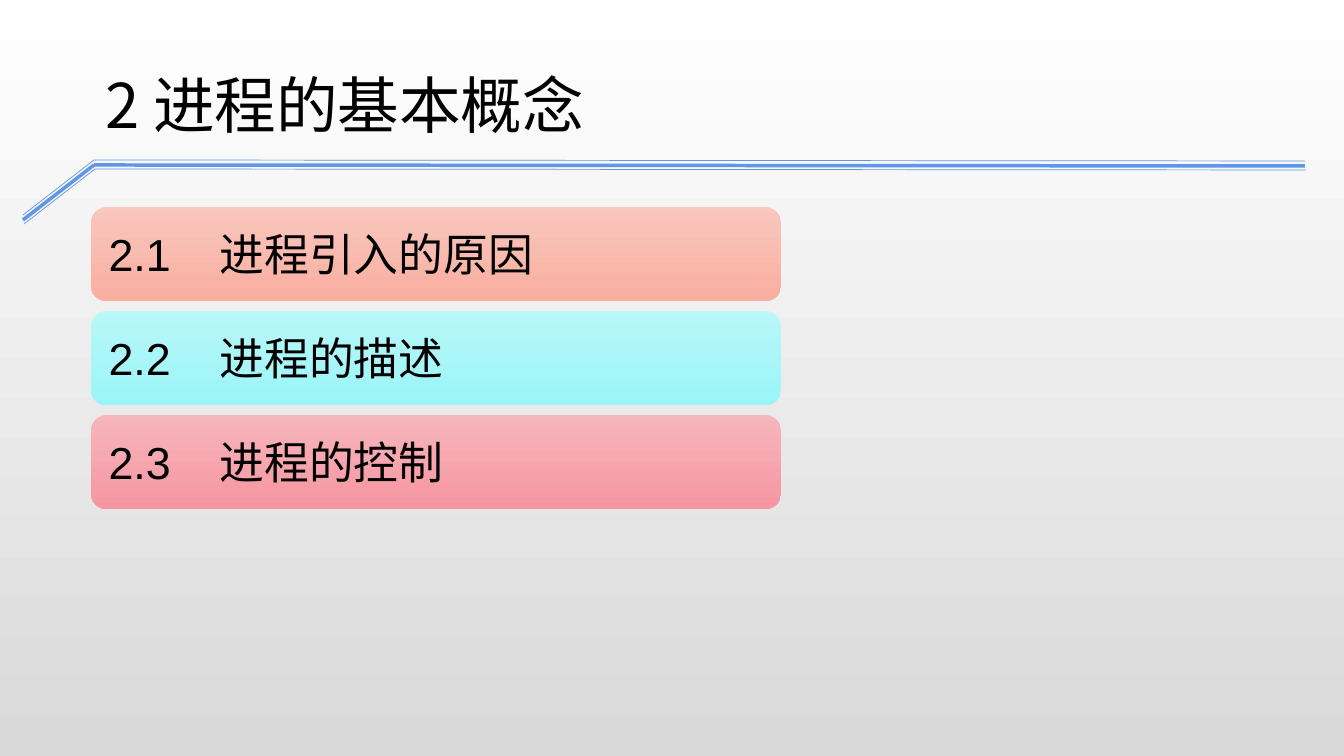
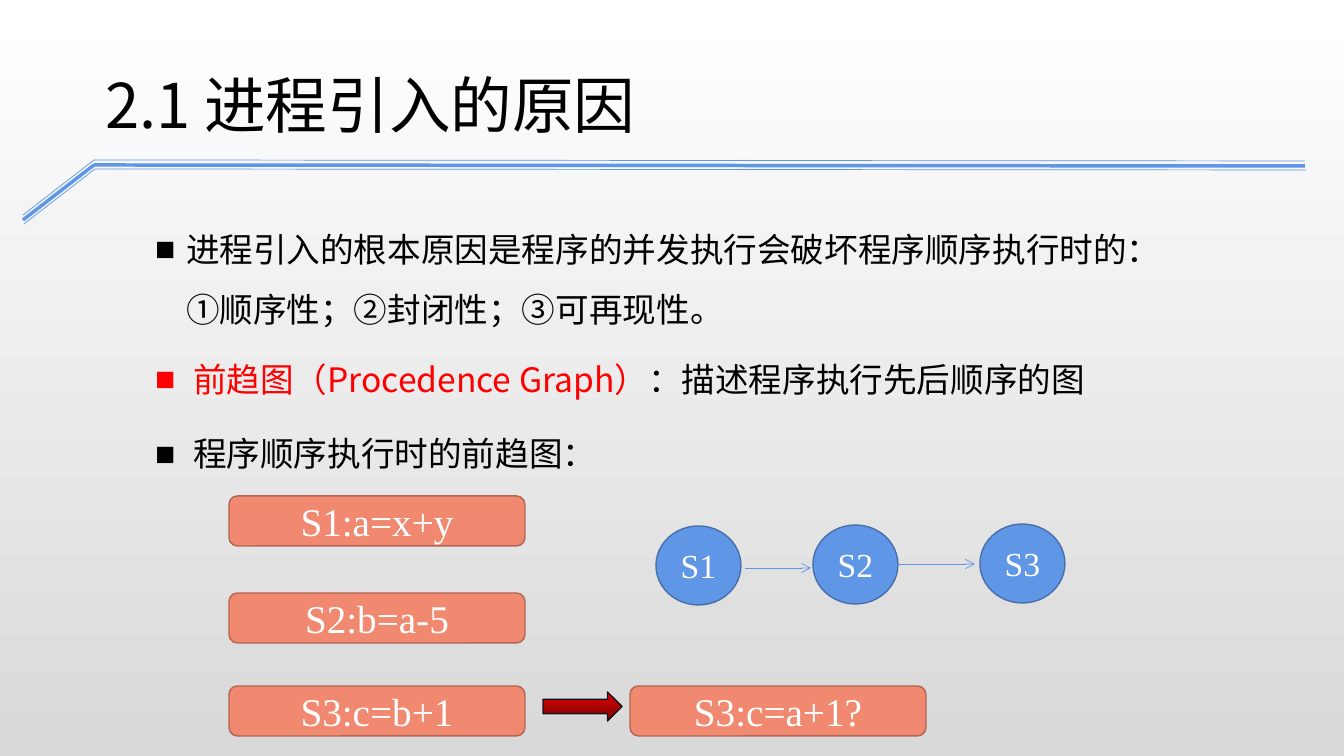
"""Build two slides on why processes were introduced."""
from dataclasses import dataclass
from itertools import pairwise

from lxml.etree import SubElement
from pptx import Presentation
from pptx.dml.color import RGBColor
from pptx.enum.shapes import MSO_CONNECTOR, MSO_SHAPE
from pptx.enum.text import MSO_ANCHOR, MSO_AUTO_SIZE, PP_ALIGN
from pptx.oxml.ns import qn
from pptx.util import Pt

SCALE = 12192000 / 1344


@dataclass(frozen=True)
class Theme:
    black: str = "000000"
    white: str = "FFFFFF"
    gray: str = "D9D9D9"
    red: str = "FF0000"
    blue: str = "6096E6"
    navy: str = "476FAA"
    coral: str = "F18870"
    rust: str = "B26553"
    ink: str = "0F1423"
    flame: tuple = ("E30000", "760303")
    peach: tuple = ("F9C7BD", "F9AEA0")
    aqua: tuple = ("B9F7F8", "9AF5F8")
    rose: tuple = ("F7B5BC", "F696A1")
    sans: str = "Noto Sans CJK JP"
    plain: str = "Arial"
    serif: str = "Times New Roman"
    title: int = 44
    topic: int = 32
    step: int = 28
    body: int = 24
    lead: int = 43


T = Theme()


def px(num):
    return round(num * SCALE)


def rgb(code):
    return RGBColor.from_string(code)


def paint(fill, color):
    if isinstance(color, str):
        fill.solid()
        fill.fore_color.rgb = rgb(color)
        return
    fill.gradient()
    fill.gradient_angle = 270
    for stop, code in zip(fill.gradient_stops, color):
        stop.color.rgb = rgb(code)


def place(shape, left, top, wide, high):
    shape.left, shape.top = px(left), px(top)
    shape.width, shape.height = px(wide), px(high)


def write(para, text, size, color, face):
    run = para.add_run()
    run.text = text
    font = run.font
    font.size, font.name = Pt(size), face
    font.color.rgb = rgb(color)
    SubElement(font._element, qn("a:ea"), typeface=T.sans)


def frame(shape, anchor, side=10, edge=0):
    box = shape.text_frame
    box.word_wrap = True
    box.auto_size = MSO_AUTO_SIZE.NONE
    box.vertical_anchor = anchor
    box.margin_left = box.margin_right = px(side)
    box.margin_top = box.margin_bottom = px(edge)
    return box


def block(slide, kind, area, fill, edge=None):
    shape = slide.shapes.add_shape(kind, *map(px, area))
    shape.shadow.inherit = False
    paint(shape.fill, fill)
    if edge:
        shape.line.color.rgb = rgb(edge)
        shape.line.width = Pt(1)
    else:
        shape.line.fill.background()
    return shape


def label(shape, text, size):
    para = frame(shape, MSO_ANCHOR.MIDDLE, 0).paragraphs[0]
    para.alignment = PP_ALIGN.CENTER
    write(para, text, size, T.white, T.serif)


def link(slide, start, end, width=0.5, head=False):
    line = slide.shapes.add_connector(
        MSO_CONNECTOR.STRAIGHT, *map(px, (*start, *end)))
    line.line.color.rgb = rgb(T.blue)
    line.line.width = Pt(width)
    if head:
        SubElement(line.line._get_or_add_ln(), qn("a:tailEnd"), type="arrow")
    SubElement(line._element.spPr, qn("a:effectLst"))


def rails(slide):
    bend = (23, 215), (94, 160), (1305, 161)
    for right, down, width in (0, 0, 0.5), (0, 5, 2.5), (1, 9, 0.5):
        dots = [(x + right, y + down) for x, y in bend]
        for start, end in pairwise(dots):
            link(slide, start, end, width)


def page(deck, layout, text):
    slide = deck.slides.add_slide(deck.slide_layouts[layout])
    rails(slide)
    title = slide.shapes.title
    place(title, 95, 56, 960, 96)
    para = frame(title, MSO_ANCHOR.MIDDLE).paragraphs[0]
    para.alignment = PP_ALIGN.LEFT
    write(para, text, T.title, T.black, T.sans)
    return slide


def topic(slide, top, mark, text, fill):
    shape = block(slide, MSO_SHAPE.ROUNDED_RECTANGLE, (91, top, 690, 94), fill)
    para = frame(shape, MSO_ANCHOR.MIDDLE, 13, 13).paragraphs[0]
    para.alignment = PP_ALIGN.LEFT
    tabs = SubElement(para._p.get_or_add_pPr(), qn("a:tabLst"))
    SubElement(tabs, qn("a:tab"), pos=str(px(111)), algn="l")
    write(para, f"{mark}\t{text}", T.topic, T.black, T.plain)


def point(para, runs, dent, space, mark):
    props = para._p.get_or_add_pPr()
    props.set("marL", str(px(dent)))
    props.set("indent", str(px(-dent if mark else 0)))
    if mark:
        tint = SubElement(props, qn("a:buClr"))
        SubElement(tint, qn("a:srgbClr"), val=runs[0][1])
        SubElement(props, qn("a:buFont"), typeface=T.plain)
        SubElement(props, qn("a:buChar"), char="■")
    else:
        SubElement(props, qn("a:buNone"))
    para.alignment = PP_ALIGN.LEFT
    para.line_spacing = Pt(T.lead)
    para.space_before = Pt(space)
    for text, color in runs:
        write(para, text, T.body, color, T.sans)


def points(slide, items):
    body = slide.placeholders[1]
    place(body, 145, 204, 1154, 282)
    box = frame(body, MSO_ANCHOR.TOP, 10, 5)
    for num, item in enumerate(items):
        para = box.add_paragraph() if num else box.paragraphs[0]
        point(para, *item)


def step(slide, left, top, text):
    shape = block(slide, MSO_SHAPE.ROUNDED_RECTANGLE,
                  (left, top, 296, 50), T.coral, T.rust)
    label(shape, text, T.step)


def node(slide, left, top, text):
    shape = block(slide, MSO_SHAPE.OVAL, (left, top, 85, 79), T.blue, T.navy)
    label(shape, text, T.body)


def main():
    deck = Presentation()
    deck.slide_width, deck.slide_height = px(1344), px(756)
    paint(deck.slide_master.background.fill, (T.white, T.gray))

    slide = page(deck, 5, "2 进程的基本概念")
    topics = (("进程引入的原因", T.peach), ("进程的描述", T.aqua),
              ("进程的控制", T.rose))
    for num, (text, fill) in enumerate(topics):
        topic(slide, 207 + 104 * num, f"2.{num + 1}", text, fill)

    slide = page(deck, 1, "2.1 进程引入的原因")
    points(slide, (
        ([("进程引入的根本原因是程序的并发执行会破坏程序顺序执行时的：", T.black)],
         31, 0, True),
        ([("①顺序性；②封闭性；③可再现性。", T.black)], 31, 0, False),
        ([("前趋图（Procedence Graph）", T.red),
          ("：描述程序执行先后顺序的图", T.black)], 38, 7, True),
        ([("程序顺序执行时的前趋图：", T.black)], 38, 10, True),
    ))
    for left, top, text in ((229, 496, "S1:a=x+y"), (229, 593, "S2:b=a-5"),
                            (229, 686, "S3:c=b+1"), (630, 686, "S3:c=a+1?")):
        step(slide, left, top, text)
    for left, top, text in ((656, 526, "S1"), (813, 525, "S2"),
                            (980, 524, "S3")):
        node(slide, left, top, text)
    link(slide, (745, 568), (811, 568), head=True)
    link(slide, (897, 564), (975, 564), head=True)
    block(slide, MSO_SHAPE.RIGHT_ARROW, (543, 692, 79, 29), T.flame, T.ink)
    deck.save("out.pptx")


if __name__ == "__main__":
    main()
